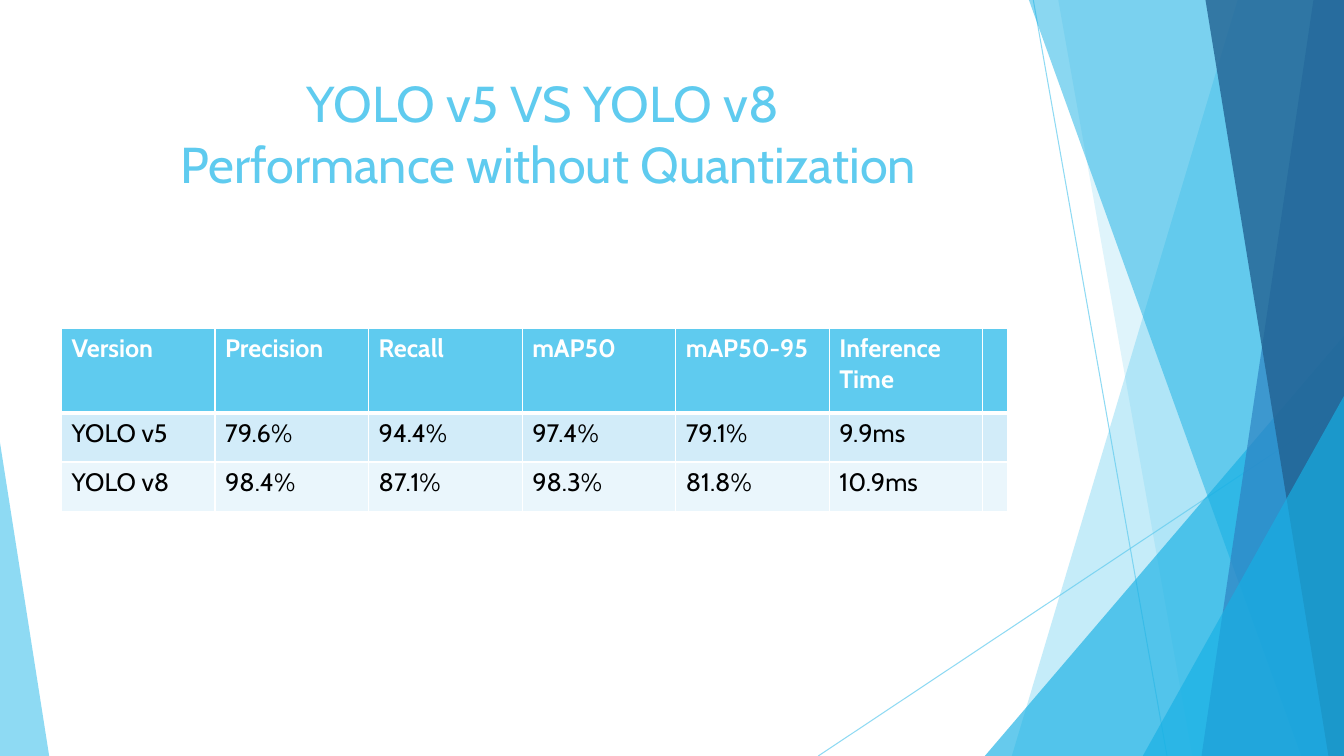
from dataclasses import dataclass

from lxml.etree import SubElement
from pptx import Presentation
from pptx.dml.color import RGBColor
from pptx.enum.shapes import MSO_CONNECTOR, MSO_SHAPE
from pptx.enum.text import MSO_ANCHOR, MSO_AUTO_SIZE, PP_ALIGN
from pptx.oxml.ns import qn
from pptx.util import Cm, Pt


@dataclass(frozen=True)
class Theme:
    """Colours, font and type sizes of the slide."""
    font: str = "Cabin"
    sky: str = "5FCBEF"
    cyan: str = "17B0E4"
    blue: str = "2E83C3"
    navy: str = "226292"
    white: str = "FFFFFF"
    black: str = "000000"
    band_dark: str = "D2ECF9"
    band_light: str = "EAF6FC"
    title_size: int = 36
    table_size: int = 18


THEME = Theme()
WIDTH, HEIGHT = 33.87, 19.05

RAYS = [((26.04, 0), (29.41, HEIGHT)), ((WIDTH, 10.24), (20.62, HEIGHT))]
BACK_PANELS = [(31.19, 25.5, THEME.sky, 36), (26.67, 30.05, THEME.sky, 20)]
FRONT_PANELS = [
    (25.93, 32.79, THEME.cyan, 50),
    (33.1, 30.28, THEME.blue, 70),
    (30.38, 33.48, THEME.navy, 80),
]
TITLE = "YOLO v5 VS YOLO v8 \vPerformance without Quantization"
ROWS = [
    ["Version", "Precision", "Recall", "mAP50", "mAP50-95", "Inference\nTime", ""],
    ["YOLO v5", "79.6%", "94.4%", "97.4%", "79.1%", "9.9ms", ""],
    ["YOLO v8", "98.4%", "87.1%", "98.3%", "81.8%", "10.9ms", ""],
]
COL_WIDTHS = [3.87] * 6 + [0.62]
ROW_HEIGHTS = [2.12, 1.24, 1.24]


def set_attrs(obj, values):
    """Set each named attribute of an object."""
    for name, value in values.items():
        setattr(obj, name, value)


def set_alpha(sp, percent):
    """Make the colours of a shape partly transparent."""
    for clr in sp.element.iter(qn("a:srgbClr")):
        SubElement(clr, qn("a:alpha"), val=str(percent * 1000))


def style_text(tf, size, color, bold=False):
    """Format every run of a text frame."""
    for p in tf.paragraphs:
        for r in p.runs:
            set_attrs(r.font, {"name": THEME.font, "size": Pt(size), "bold": bold})
            r.font.color.rgb = RGBColor.from_string(color)


def paint(sp, color, alpha):
    """Give a shape a transparent fill without outline or shadow."""
    sp.shadow.inherit = False
    sp.fill.solid()
    sp.fill.fore_color.rgb = RGBColor.from_string(color)
    sp.line.fill.background()
    set_alpha(sp, alpha)


def add_ray(s, start, end):
    """Draw a thin line across the slide."""
    ends = [Cm(v) for v in (*start, *end)]
    line = s.shapes.add_connector(MSO_CONNECTOR.STRAIGHT, *ends)
    line.line.width = Pt(0.75)
    line.line.color.rgb = RGBColor.from_string(THEME.sky)
    SubElement(line.element.spPr, qn("a:effectLst"))
    set_alpha(line, 70)


def add_panel(s, top_x, bottom_x, color, alpha):
    """Draw a full-height panel from a slanted edge to the right side."""
    builder = s.shapes.build_freeform(Cm(top_x), 0)
    corners = [(WIDTH, 0), (WIDTH, HEIGHT), (bottom_x, HEIGHT)]
    builder.add_line_segments([(Cm(x), Cm(y)) for x, y in corners], close=True)
    paint(builder.convert_to_shape(), color, alpha)


def add_corner(s, left, top, right, apex, color, alpha):
    """Draw a triangle that stands on the bottom edge."""
    sp = s.shapes.add_shape(MSO_SHAPE.ISOSCELES_TRIANGLE, Cm(left), Cm(top),
                            Cm(right - left), Cm(HEIGHT - top))
    sp.adjustments[0] = apex
    paint(sp, color, alpha)


def add_decoration(s):
    """Draw the faceted decoration from back to front."""
    for start, end in RAYS:
        add_ray(s, start, end)
    for panel in BACK_PANELS:
        add_panel(s, *panel)
    add_corner(s, 24.82, 8.46, WIDTH, 1, THEME.cyan, 66)
    for panel in FRONT_PANELS:
        add_panel(s, *panel)
    add_corner(s, 28.8, 9.98, WIDTH, 1, THEME.cyan, 66)
    add_corner(s, 0, 11.15, 1.24, 0, THEME.sky, 70)


def set_title(s, text):
    """Fill, place and format the title placeholder."""
    sp = s.shapes.title
    set_attrs(sp, {"left": Cm(1.88), "top": Cm(1.7),
                   "width": Cm(23.88), "height": Cm(3.66)})
    tf = sp.text_frame
    set_attrs(tf, {"text": text, "word_wrap": True,
                   "auto_size": MSO_AUTO_SIZE.NONE,
                   "vertical_anchor": MSO_ANCHOR.TOP})
    tf.paragraphs[0].alignment = PP_ALIGN.CENTER
    style_text(tf, THEME.title_size, THEME.sky)
    sp.element.getparent().append(sp.element)


def set_borders(cell, widths):
    """Draw white borders in points for the sides L, R, T and B."""
    tc_pr = cell._tc.get_or_add_tcPr()
    for side, width in widths.items():
        ln = SubElement(tc_pr, qn(f"a:ln{side}"), w=str(Pt(width)))
        fill = SubElement(ln, qn("a:solidFill"))
        SubElement(fill, qn("a:srgbClr"), val=THEME.white)


def add_table(s, rows):
    """Add the performance table with a header and two bands."""
    frame = s.shapes.add_table(len(rows), len(COL_WIDTHS), Cm(1.55), Cm(8.28),
                               Cm(sum(COL_WIDTHS)), Cm(sum(ROW_HEIGHTS)))
    table = frame.table
    for col, width in zip(table.columns, COL_WIDTHS):
        col.width = Cm(width)
    for row, height in zip(table.rows, ROW_HEIGHTS):
        row.height = Cm(height)
    fills = [THEME.sky, THEME.band_dark, THEME.band_light]
    for i, (texts, fill) in enumerate(zip(rows, fills)):
        header = i == 0
        borders = {"L": 1, "R": 1, "T": 3 if i == 1 else 1, "B": 3 if header else 1}
        for j, text in enumerate(texts):
            cell = table.cell(i, j)
            cell.text = text
            color = THEME.white if header else THEME.black
            style_text(cell.text_frame, THEME.table_size, color, header)
            set_borders(cell, borders)
            cell.fill.solid()
            cell.fill.fore_color.rgb = RGBColor.from_string(fill)


def main():
    """Build and save the slide."""
    prs = Presentation()
    set_attrs(prs, {"slide_width": Cm(WIDTH), "slide_height": Cm(HEIGHT)})
    s = prs.slides.add_slide(prs.slide_layouts[5])
    add_decoration(s)
    set_title(s, TITLE)
    add_table(s, ROWS)
    prs.save("out.pptx")


if __name__ == "__main__":
    main()
